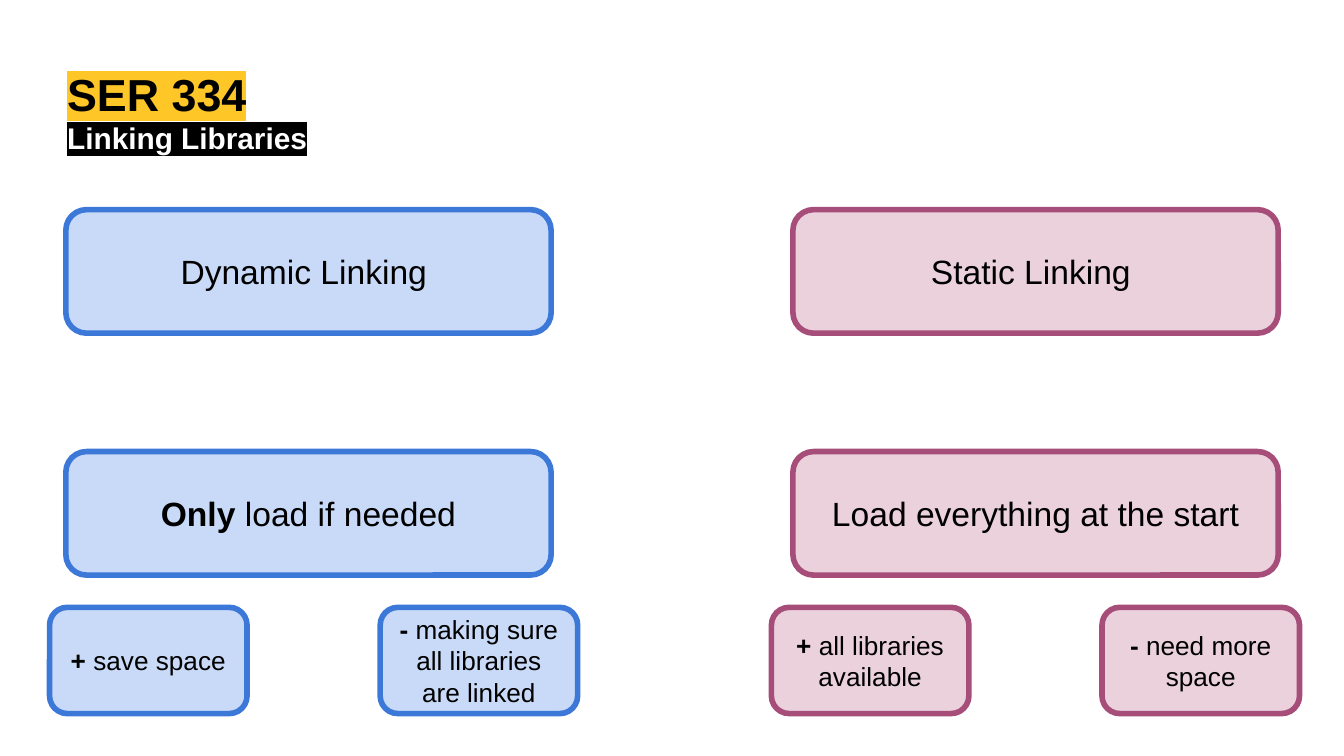
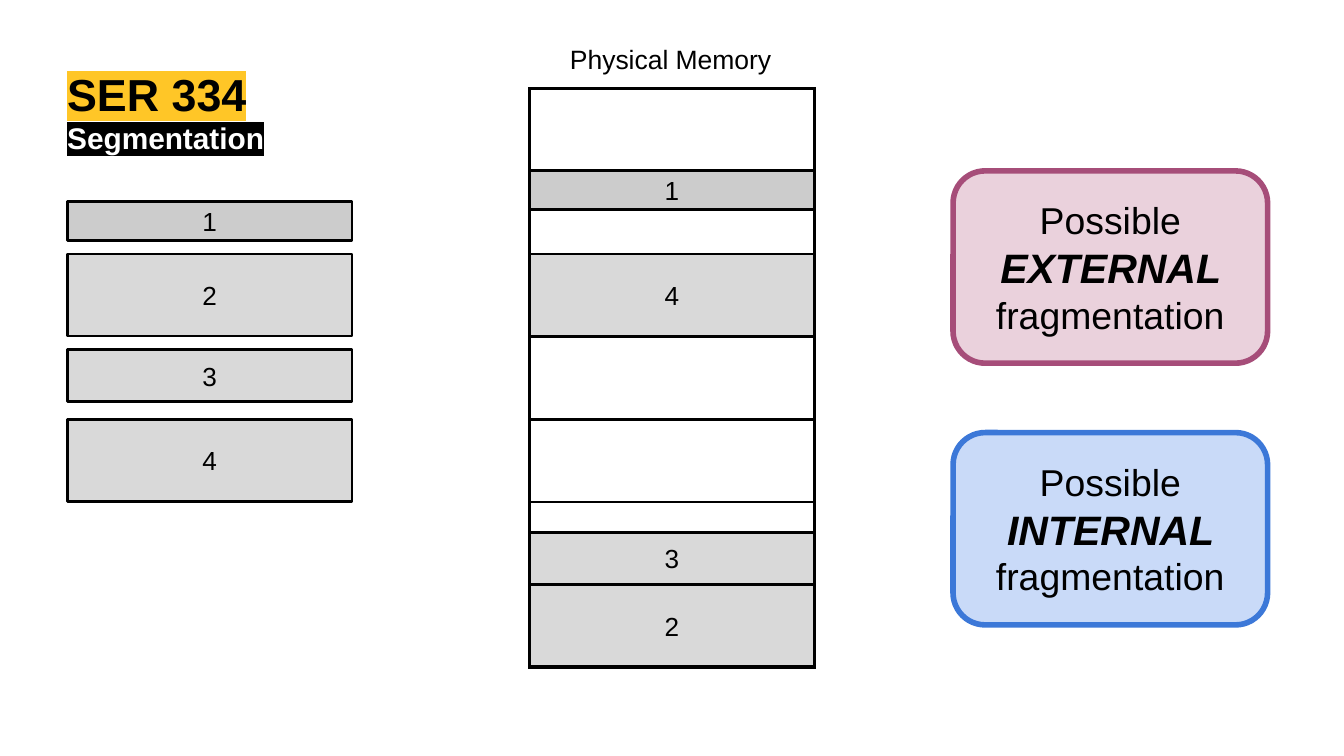
from lxml.etree import SubElement
from pptx import Presentation
from pptx.dml.color import RGBColor
from pptx.enum.shapes import MSO_SHAPE as Shape
from pptx.enum.text import MSO_ANCHOR as Anchor, PP_ALIGN as Align
from pptx.oxml.ns import qn
from pptx.util import Pt

FONT = "Arial"
BLACK, WHITE, GOLD = "000000", "FFFFFF", "FFC627"
BLUE = ("C9DAF8", "3C78D8")
PINK = ("EAD1DC", "A64D79")
SEGMENTS = {
    "1": (20.9, "CCCCCC"),
    "2": (43.9, "D9D9D9"),
    "3": (28.1, "D9D9D9"),
    "4": (43.9, "D9D9D9"),
}
SEGMENT_WIDTH = 152.6


def color(value):
    return RGBColor.from_string(value)


def add_solid_fill(parent, tag, value):
    SubElement(SubElement(parent, qn(tag)), qn("a:srgbClr")).set("val", value)


def format_run(run, size=14, ink=BLACK, bold=False, italic=False, highlight=None):
    font = run.font
    font.name, font.size, font.bold, font.italic = FONT, Pt(size), bold, italic
    font.color.rgb = color(ink)
    if highlight:
        properties = run._r.get_or_add_rPr()
        add_solid_fill(properties, "a:highlight", highlight)
        properties.find(qn("a:solidFill")).addnext(properties[-1])


def write_text(shape, text, align=Align.LEFT, anchor=Anchor.TOP, inset=7.2, wrap=True, **style):
    frame = shape.text_frame
    frame.word_wrap = wrap
    frame.vertical_anchor = anchor
    frame.margin_left = frame.margin_right = Pt(inset)
    frame.margin_top = frame.margin_bottom = Pt(inset)
    paragraph = frame.paragraphs[0]
    paragraph.alignment = align
    parts = [(text, {})] if isinstance(text, str) else text
    for words, changes in parts:
        run = paragraph.add_run()
        run.text = words
        format_run(run, **{**style, **changes})


def add_label(slide, text, left, top, width, height, **style):
    label = slide.shapes.add_textbox(Pt(left), Pt(top), Pt(width), Pt(height))
    write_text(label, text, **style)


def add_box(slide, text, left, top, width, height, colors, kind=Shape.ROUNDED_RECTANGLE, line=3, **style):
    box = slide.shapes.add_shape(kind, Pt(left), Pt(top), Pt(width), Pt(height))
    fill, outline = colors
    box.shadow.inherit = False
    box.fill.solid()
    box.fill.fore_color.rgb = color(fill)
    box.line.color.rgb = color(outline)
    box.line.width = Pt(line)
    write_text(box, text, align=Align.CENTER, anchor=Anchor.MIDDLE, **style)


def add_title(slide, topic, left=36, top=36):
    add_label(slide, "SER 334", left, top, 349, 28, inset=0, size=24, bold=True, highlight=GOLD)
    add_label(slide, topic, left, top + 28, 469, 21, inset=0, size=16, bold=True,
              ink=WHITE, highlight=BLACK)


def add_linking_column(slide, left, top, note_left, colors, name, loading, notes):
    for row, text in enumerate((name, loading)):
        add_box(slide, text, left, top + 129.6 * row, 260, 66.2, colors, size=18)
    for column, (sign, note) in enumerate(notes):
        parts = [(sign, {"bold": True}), (" " + note, {})]
        add_box(slide, parts, note_left + 177.1 * column, top + 213.1, 105.8, 56.9, colors)


def add_segments(slide, left, tops):
    for name, top in tops.items():
        height, fill = SEGMENTS[name]
        add_box(slide, name, left, top, SEGMENT_WIDTH, height, (fill, BLACK),
                kind=Shape.RECTANGLE, line=1.5)


def set_borders(cell, value, width):
    properties = cell._tc.get_or_add_tcPr()
    for side in ("a:lnL", "a:lnR", "a:lnT", "a:lnB"):
        border = SubElement(properties, qn(side))
        border.set("w", str(Pt(width)))
        add_solid_fill(border, "a:solidFill", value)


def add_memory(slide, left, top, rows=7, row_height=44.31):
    frame = slide.shapes.add_table(rows, 1, Pt(left), Pt(top), Pt(SEGMENT_WIDTH), Pt(rows * row_height))
    table = frame.table
    table.first_row = table.horz_banding = False
    for row in table.rows:
        cell = row.cells[0]
        set_borders(cell, BLACK, 1.5)
        cell.fill.background()
    add_segments(slide, left, {"1": top + 44, "4": top + 88.6, "2": top + 265.7, "3": top + 237.6})
    add_label(slide, "Physical Memory", left + 14.6, top - 31.7, 123.2, 31.7, size=14.2, wrap=False)


def add_fragmentation(slide, left, top):
    for row, (kind, colors) in enumerate((("EXTERNAL ", PINK), ("INTERNAL ", BLUE))):
        parts = [
            ("Possible ", {}),
            (kind, {"size": 22, "bold": True, "italic": True}),
            ("fragmentation", {}),
        ]
        add_box(slide, parts, left, top + 140.2 * row, 168.5, 103, colors, size=20)


def build_linking(slide):
    add_title(slide, "Linking Libraries")
    add_linking_column(
        slide, 35.3, 112.3, 26.6, BLUE, "Dynamic Linking ",
        [("Only", {"bold": True}), (" load if needed", {})],
        [("+", "save space"), ("-", "making sure all libraries are linked")])
    add_linking_column(
        slide, 424.8, 112.3, 413.3, PINK, "Static Linking ", "Load everything at the start",
        [("+", "all libraries available"), ("-", "need more space")])


def build_segmentation(slide):
    add_title(slide, "Segmentation")
    add_segments(slide, 36, {"1": 108, "2": 136.1, "3": 187.2, "4": 224.6})
    add_memory(slide, 283.7, 47.5)
    add_fragmentation(slide, 510.6, 91.6)


def main():
    presentation = Presentation()
    presentation.slide_width, presentation.slide_height = Pt(720), Pt(405)
    for build in (build_linking, build_segmentation):
        build(presentation.slides.add_slide(presentation.slide_layouts[6]))
    presentation.save("out.pptx")


if __name__ == "__main__":
    main()
